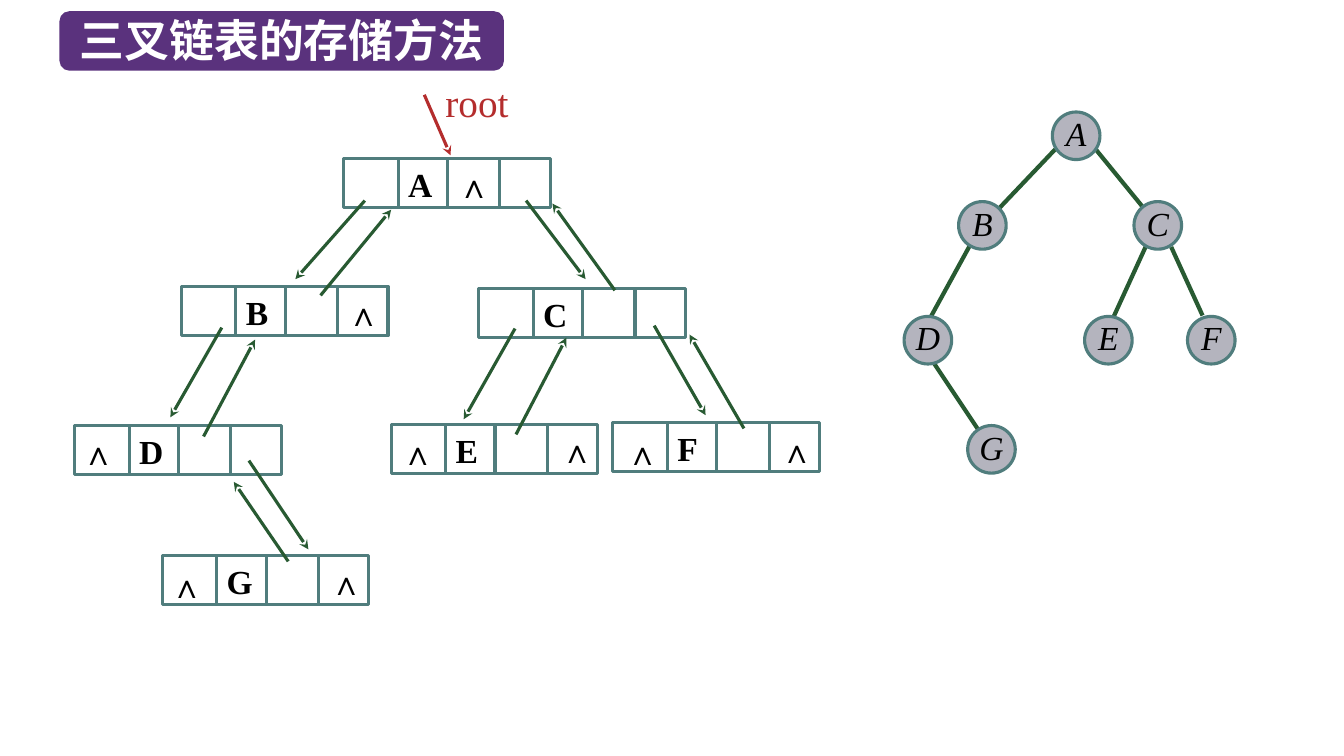
from pptx import Presentation
from pptx.dml.color import RGBColor
from pptx.enum import shapes as kinds, text as txt
from pptx.oxml.ns import qn
from pptx.util import Pt
from lxml import etree

PURPLE = RGBColor(0x5A, 0x32, 0x7D)
TEAL = RGBColor(0x50, 0x7D, 0x7D)
GREEN = RGBColor(0x28, 0x5A, 0x32)
RED = RGBColor(0xB4, 0x2D, 0x2D)
GREY = RGBColor(0xB4, 0xB4, 0xBE)
BLACK = RGBColor(0, 0, 0)
WHITE = RGBColor(0xFF, 0xFF, 0xFF)
SERIF = "Times New Roman"
CJK = "Noto Sans CJK SC"

RECORD_WIDTH, RECORD_HEIGHT = 147.6, 35.3
DATA_LEFT, PARENT_RIGHT = 38.9, 111.6
CIRCLE = 34

# letter: record corner, then the corner of each null mark inside the record
RECORDS = {
    "A": ((192.5, 45), [(77, 0)]),
    "B": ((76.6, 136.5), [(113.8, 0)]),
    "C": ((289, 138), []),
    "D": ((0.3, 235.8), [(0.7, 0)]),
    "E": ((226.4, 235.1), [(2.9, 0.7), (116.6, -0.7)]),
    "F": ((384.8, 233.7), [(5, 2.2), (115.2, 0.7)]),
    "G": ((62.9, 328.7), [(1.4, 2.2), (115.2, 0)]),
}
CHILD_LINKS = [
    (207.6, 75.3, 158, 131.4), (322.8, 75.3, 365.3, 131.4),
    (105.4, 166, 68.7, 230.1), (314.9, 166.7, 278.2, 231.5),
    (414.3, 164.6, 451, 228.6), (124.8, 261, 167.3, 324.4),
]
PARENT_LINKS = [
    (176, 143, 226.4, 81.8), (386.2, 139.4, 341.6, 77.4),
    (92.4, 243.8, 129.2, 174.6), (315.6, 242.3, 351.6, 173.2),
    (478.4, 238, 439.5, 171), (152.9, 333, 114, 276.2),
]
TREE_NODES = {
    "A": (105.9, 0), "B": (38.9, 64), "C": (164.2, 64), "D": (0, 146),
    "E": (128.9, 146), "F": (202.4, 146), "G": (45.4, 224),
}
TREE_EDGES = [
    (108, 26.6, 67.7, 69), (136.8, 26.6, 171.4, 69),
    (46.8, 95.7, 18.8, 146.8), (21.6, 179.9, 53.3, 227.4),
    (172.8, 95.7, 149.8, 146), (190.8, 96.4, 213.2, 145.4),
]


def add_line(slide, origin, ends, color, width=2.25, arrow=False):
    """Draw a straight line whose ends are relative to origin."""
    left, top = origin
    x1, y1, x2, y2 = ends
    line = slide.shapes.add_connector(
        kinds.MSO_CONNECTOR.STRAIGHT,
        Pt(left + x1), Pt(top + y1), Pt(left + x2), Pt(top + y2))
    line.line.color.rgb = color
    line.line.width = Pt(width)
    properties = line._element.spPr
    if arrow:
        etree.SubElement(properties.find(qn("a:ln")), qn("a:tailEnd"), type="stealth")
    etree.SubElement(properties, qn("a:effectLst"))


def add_box(slide, kind, box, fill=None, outline=None):
    shape = slide.shapes.add_shape(kind, *map(Pt, box))
    shape.shadow.inherit = False
    if fill is None:
        shape.fill.background()
    else:
        shape.fill.solid()
        shape.fill.fore_color.rgb = fill
    if outline is None:
        shape.line.fill.background()
    else:
        shape.line.color.rgb = outline
        shape.line.width = Pt(2.25)
    return shape


def write(shape, words, size, color=BLACK, font=SERIF, bold=False, italic=False,
          align=txt.PP_ALIGN.LEFT, anchor=txt.MSO_ANCHOR.TOP,
          insets=(0, 0, 0, 0), spacing=None, wrap=True):
    """Set the words; insets run left, top, right, bottom."""
    frame = shape.text_frame
    frame.text = words
    frame.word_wrap = wrap
    frame.vertical_anchor = anchor
    (frame.margin_left, frame.margin_top,
     frame.margin_right, frame.margin_bottom) = map(Pt, insets)
    paragraph = frame.paragraphs[0]
    paragraph.alignment = align
    if spacing:
        paragraph.line_spacing = Pt(spacing)
    run = paragraph.runs[0]
    run.font.size = Pt(size)
    run.font.name = font
    run.font.bold = bold
    run.font.italic = italic
    run.font.color.rgb = color
    if font == CJK:
        etree.SubElement(run._r.get_or_add_rPr(), qn("a:ea"), typeface=font)


def add_title(slide, box):
    banner = add_box(slide, kinds.MSO_SHAPE.ROUNDED_RECTANGLE, box, fill=PURPLE)
    write(banner, "三叉链表的存储方法", 32, WHITE, CJK, bold=True,
          align=txt.PP_ALIGN.CENTER, anchor=txt.MSO_ANCHOR.MIDDLE,
          insets=(0, 0, 0, 2), wrap=False)


def add_record(slide, left, top, letter, nulls):
    """Draw one record: left child, data, parent, right child."""
    rectangle = kinds.MSO_SHAPE.RECTANGLE
    add_box(slide, rectangle, (left, top, RECORD_WIDTH, RECORD_HEIGHT), outline=TEAL)
    data = add_box(slide, rectangle,
                   (left + DATA_LEFT, top, RECORD_HEIGHT, RECORD_HEIGHT), outline=TEAL)
    write(data, letter, 24, bold=True, align=txt.PP_ALIGN.JUSTIFY,
          insets=(7.2, 0, 1.4, 0.7), spacing=33)
    add_line(slide, (left, top), (PARENT_RIGHT, 0, PARENT_RIGHT, RECORD_HEIGHT), TEAL)
    for dx, dy in nulls:
        null = slide.shapes.add_textbox(Pt(left + dx), Pt(top + dy), Pt(33), Pt(32.4))
        write(null, "∧", 24, bold=True, insets=(4.3, 0.7, 1.4, 0.7), spacing=33)


def add_linked_list(slide, left, top):
    for letter, ((x, y), nulls) in RECORDS.items():
        add_record(slide, left + x, top + y, letter, nulls)
    for link in CHILD_LINKS + PARENT_LINKS:
        add_line(slide, (left, top), link, GREEN, arrow=True)


def add_root_pointer(slide, left, top):
    add_line(slide, (left, top), (0, 15.2, 18.7, 58.4), RED, arrow=True)
    root = slide.shapes.add_textbox(Pt(left + 8), Pt(top), Pt(101.5), Pt(41))
    write(root, "root", 28, RED, insets=(7.2, 3.6, 7.2, 3.6))


def add_tree(slide, left, top):
    for edge in TREE_EDGES:
        add_line(slide, (left, top), edge, GREEN, width=3)
    for letter, (x, y) in TREE_NODES.items():
        node = add_box(slide, kinds.MSO_SHAPE.OVAL,
                       (left + x, top + y, CIRCLE, CIRCLE), GREY, TEAL)
        write(node, letter, 24, italic=True, align=txt.PP_ALIGN.CENTER,
              anchor=txt.MSO_ANCHOR.MIDDLE, spacing=25)


def main():
    deck = Presentation()
    deck.slide_width, deck.slide_height = Pt(960), Pt(540)
    slide = deck.slides.add_slide(deck.slide_layouts[6])
    add_title(slide, (42.5, 8, 317.5, 42.5))
    add_linked_list(slide, 53, 68)
    add_root_pointer(slide, 303.1, 52.5)
    add_tree(slide, 645.8, 80)
    deck.save("out.pptx")


if __name__ == "__main__":
    main()
